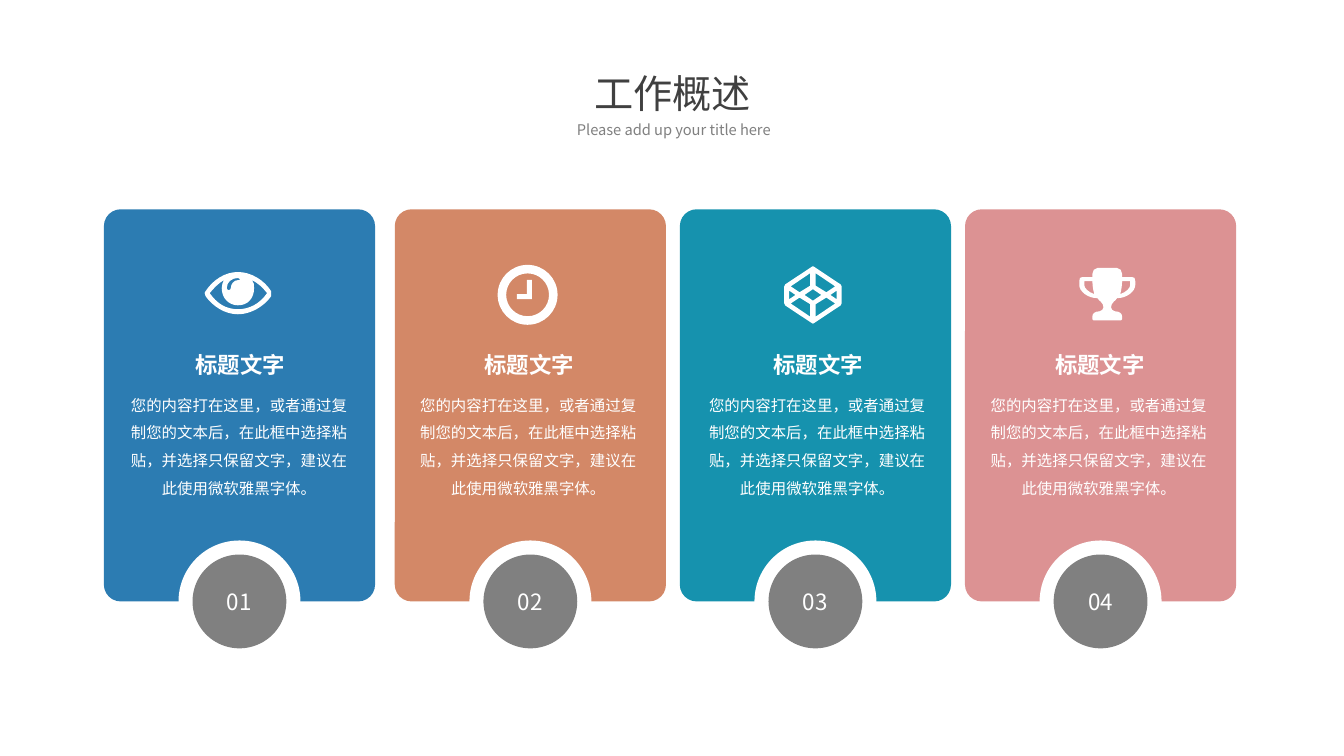
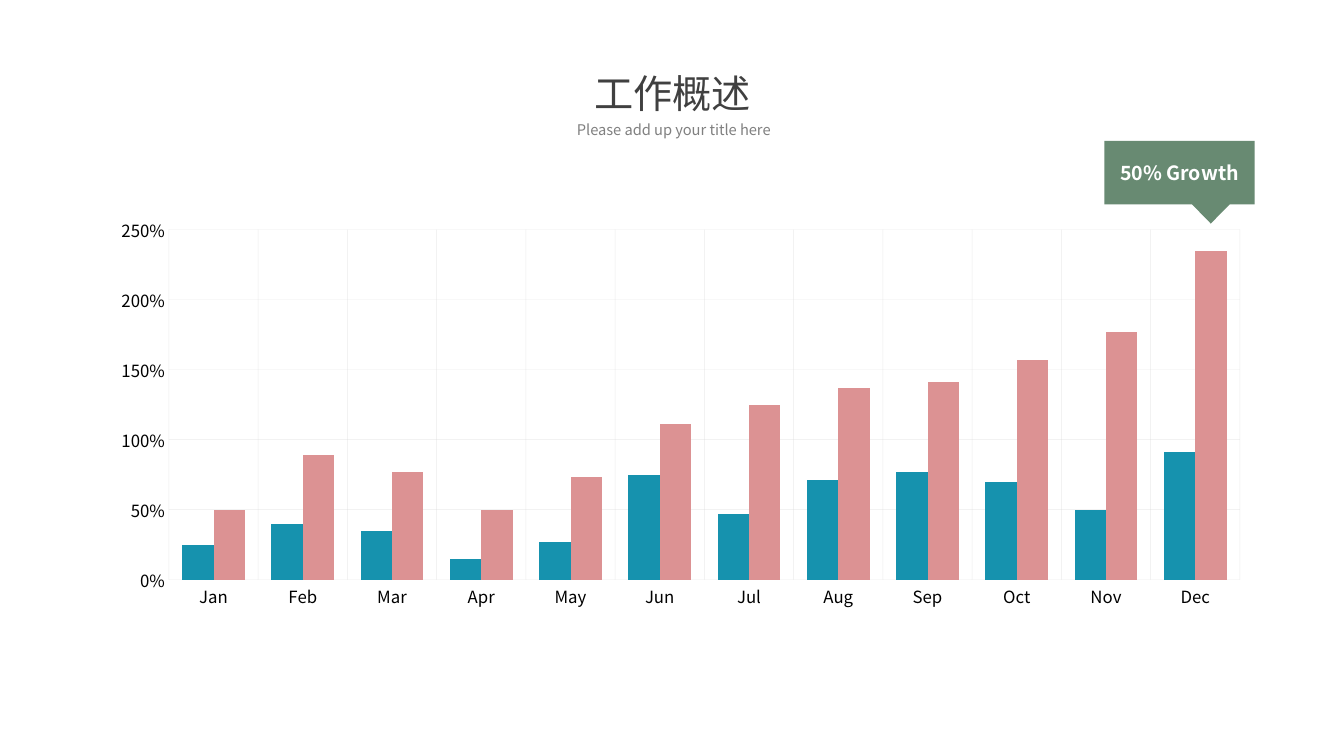
from dataclasses import dataclass

from lxml import etree
from pptx import Presentation
from pptx import util as u
from pptx.chart.data import CategoryChartData
from pptx.dml.color import RGBColor
from pptx.enum import chart as charts, shapes, text
from pptx.oxml import parse_xml
from pptx.oxml.ns import nsdecls, qn

# A contour is a start point, then lines (2 numbers) and cubic curves (6 numbers).
Contour = list[tuple[float, ...]]


@dataclass(frozen=True)
class Theme:
    font: str = "Noto Sans CJK SC"
    blue: str = "2C7CB2"
    orange: str = "D38867"
    teal: str = "1692AE"
    pink: str = "DC9293"
    green: str = "688A72"
    white: str = "FFFFFF"
    black: str = "000000"
    dark: str = "404040"
    gray: str = "808080"
    grid: str = "D9D9D9"
    title_size: float = 28
    subtitle_size: float = 10.5
    heading_size: float = 16
    body_size: float = 11
    callout_size: float = 14
    chart_size: float = 12


THEME = Theme()


@dataclass(frozen=True)
class Box:
    left: float
    top: float
    width: float
    height: float

    def lengths(self) -> tuple[u.Length, ...]:
        return tuple(u.Pt(v) for v in (self.left, self.top, self.width, self.height))


@dataclass(frozen=True)
class Style:
    size: float
    color: str = THEME.white
    bold: bool = False
    line_spacing: float = 1.0
    inset_x: float = 0
    inset_y: float = 0


TITLE = Style(THEME.title_size, THEME.dark, inset_x=7.2, inset_y=3.6)
SUBTITLE = Style(THEME.subtitle_size, THEME.gray, line_spacing=1.2, inset_x=7.2, inset_y=3.6)
HEADING = Style(THEME.heading_size, bold=True)
BODY = Style(THEME.body_size, line_spacing=1.5)
NUMBER = Style(THEME.heading_size)
CALLOUT = Style(THEME.callout_size, bold=True)


@dataclass(frozen=True)
class Icon:
    left: float
    top: float
    contours: list[Contour]


@dataclass(frozen=True)
class Card:
    left: float
    text_center: float
    color: str
    icon: Icon


CARD_TOP, CARD_WIDTH, CARD_HEIGHT = 149.5, 193.7, 280.1
RING_DIAMETER, BADGE_DIAMETER = 87.1, 67
BODY_TEXT = "您的内容打在这里，或者通过复制您的文本后，在此框中选择粘贴，并选择只保留文字，建议在此使用微软雅黑字体。"


def circle(center: float, radius: float) -> Contour:
    low, high, bend = center - radius, center + radius, radius * 0.5523
    near, far = center - bend, center + bend
    return [(high, center), (high, far, far, high, center, high),
            (near, high, low, far, low, center), (low, near, near, low, center, low),
            (far, low, high, near, high, center)]


def mirror(contour: Contour, size: float, axis: int = 0) -> Contour:
    """Flip along x (axis 0) or y (axis 1) and run the contour backwards."""
    flipped = [tuple(size - value if index % 2 == axis else value
                     for index, value in enumerate(segment)) for segment in contour]
    result = [flipped[-1][-2:]]
    for index in range(len(flipped) - 1, 0, -1):
        controls = flipped[index][:-2]
        result.append(controls[2:] + controls[:2] + flipped[index - 1][-2:])
    return result


def eye_contours() -> list[Contour]:
    outline = [
        (47.5, 17.3), (42.5, 24.5, 33.1, 30.2, 23.8, 30.2), (14.4, 30.2, 5.8, 24.5, 0.7, 17.3),
        (0.7, 16.6, 0, 15.8, 0, 15.1), (0, 14.4, 0.7, 13.7, 0.7, 13.7),
        (5.8, 5.8, 14.4, 0, 23.8, 0), (33.1, 0, 42.5, 5.8, 47.5, 13.7), (47.5, 15.1)]
    white_of_eye = [
        (33.8, 5.8), (35.3, 7.2, 35.3, 9.4, 35.3, 11.5), (35.3, 18.7, 31, 23.8, 23.8, 23.8),
        (17.3, 23.8, 12.2, 18.7, 12.2, 11.5), (12.2, 9.4, 13, 7.2, 13.7, 5.8),
        (10.1, 7.9, 6.5, 11.5, 3.6, 15.1), (8.6, 22.3, 15.1, 26.6, 23.8, 26.6),
        (32.4, 26.6, 39.6, 22.3, 44.6, 15.1), (41.8, 11.5, 38.2, 7.9, 33.8, 5.8)]
    glint = [
        (23.8, 4.3), (19.4, 4.3, 15.8, 7.2, 15.8, 11.5), (15.8, 12.2, 16.6, 13, 17.3, 13),
        (18, 13, 18.7, 12.2, 18.7, 11.5), (18.7, 8.6, 20.9, 5.8, 23.8, 5.8),
        (25.2, 5.8), (25.2, 5, 24.5, 4.3, 23.8, 4.3)]
    return [outline, white_of_eye, glint]


def clock_contours() -> list[Contour]:
    hands = [(20.9, 10.8), (24.5, 10.8), (24.5, 24.5), (13.7, 24.5), (13.7, 20.9), (20.9, 20.9)]
    return [circle(21.4, 21.4), circle(21.4, 15.3), hands]


def cube_contours() -> list[Contour]:
    size = 41
    corner = [(0, 14.4), (0.7, 13), (19.8, 0.3), (20.5, 0)]
    top = corner + mirror(corner, size)[1:]
    outline = top + mirror(top, size, axis=1)
    facet = [(18.5, 13.9), (18.5, 5), (4.6, 14.4), (10.9, 18.6)]
    side = [(8, 20.5), (3.5, 17.4), (3.5, 23.6)]
    diamond = [(20.5, 16.4), (26.5, 20.5), (20.5, 24.6), (14.5, 20.5)]
    facets = [facet, mirror(facet, size)]
    facets += [mirror(each, size, axis=1) for each in facets]
    return [outline, *facets, side, mirror(side, size), diamond]


def trophy_contours() -> list[Contour]:
    width = 40
    half = [
        (20, 0), (13, 0), (10.8, 0, 9.4, 2.2, 9.4, 4.3), (9.4, 6.5), (2.2, 6.5),
        (0.7, 6.5, 0, 7.2, 0, 9.4), (0, 12.2), (0, 16.6, 5.8, 21.6, 13, 21.6),
        (14.4, 23, 14.4, 23.8, 15.1, 23.8), (16.6, 25.2, 17.3, 26.6, 17.3, 28.1),
        (17.3, 29.5, 15.8, 31, 14.4, 31), (11.5, 31, 9.4, 32.4, 9.4, 34.6),
        (9.4, 36.7), (9.4, 37.4, 9.4, 37.4, 10.1, 37.4), (20, 37.4)]
    handle = [(9.4, 9.4), (3.6, 9.4), (3.6, 12.2),
              (3.6, 14.4, 6.5, 17.3, 10.8, 18.7), (10.1, 16.6, 9.4, 13, 9.4, 9.4)]
    return [half + mirror(half, width)[1:], handle, mirror(handle, width)]


CARDS = [
    Card(74.2, 171.5, THEME.blue, Icon(146.2, 194.3, eye_contours())),
    Card(282, 378.1, THEME.orange, Icon(355.5, 189.2, clock_contours())),
    Card(485.6, 584.5, THEME.teal, Icon(560.2, 190.2, cube_contours())),
    Card(689.3, 785.6, THEME.pink, Icon(770.9, 191.4, trophy_contours())),
]


def paint(shape, color: str) -> None:
    shape.shadow.inherit = False
    shape.fill.solid()
    shape.fill.fore_color.rgb = RGBColor.from_string(color)
    shape.line.fill.background()


def write(shape, content: str, style: Style, anchor=text.MSO_ANCHOR.TOP) -> None:
    frame = shape.text_frame
    frame.word_wrap = True
    frame.vertical_anchor = anchor
    frame.margin_left = frame.margin_right = u.Pt(style.inset_x)
    frame.margin_top = frame.margin_bottom = u.Pt(style.inset_y)
    paragraph = frame.paragraphs[0]
    paragraph.text = content
    paragraph.alignment = text.PP_ALIGN.CENTER
    paragraph.line_spacing = style.line_spacing
    font = paragraph.font
    font.size = u.Pt(style.size)
    font.bold = style.bold
    font.color.rgb = RGBColor.from_string(style.color)
    font.name = THEME.font
    defaults = paragraph._p.pPr.find(qn("a:defRPr"))
    etree.SubElement(defaults, qn("a:ea")).set("typeface", THEME.font)


def add_text(slide, box: Box, content: str, style: Style) -> None:
    write(slide.shapes.add_textbox(*box.lengths()), content, style)


def add_filled(slide, kind, box: Box, color: str):
    shape = slide.shapes.add_shape(kind, *box.lengths())
    paint(shape, color)
    return shape


def add_disc(slide, center_x: float, center_y: float, diameter: float, color: str):
    box = Box(center_x - diameter / 2, center_y - diameter / 2, diameter, diameter)
    return add_filled(slide, shapes.MSO_SHAPE.OVAL, box, color)


def bend_lines(shape, segments: Contour) -> None:
    """Turn the freeform's lines into cubic curves where a segment has control points."""
    lines = list(shape._element.iter(qn("a:lnTo")))
    for line, segment in zip(lines, segments):
        if len(segment) == 6:
            line.tag = qn("a:cubicBezTo")
            for index in (0, 2):
                control = etree.Element(qn("a:pt"))
                control.set("x", str(u.Pt(segment[index])))
                control.set("y", str(u.Pt(segment[index + 1])))
                line.insert(index // 2, control)


def add_icon(slide, icon: Icon) -> None:
    builder = None
    for contour in icon.contours:
        start, *ends = [tuple(u.Pt(value) for value in segment[-2:]) for segment in contour]
        if builder is None:
            builder = slide.shapes.build_freeform(*start)
        else:
            builder.move_to(*start)
        builder.add_line_segments(ends, close=True)
    shape = builder.convert_to_shape(u.Pt(icon.left), u.Pt(icon.top))
    bend_lines(shape, [segment for contour in icon.contours for segment in contour[1:]])
    paint(shape, THEME.white)


def add_card(slide, card: Card, number: int) -> None:
    panel = add_filled(slide, shapes.MSO_SHAPE.ROUNDED_RECTANGLE,
                       Box(card.left, CARD_TOP, CARD_WIDTH, CARD_HEIGHT), card.color)
    panel.adjustments[0] = 0.062
    center_x, bottom = card.left + CARD_WIDTH / 2, CARD_TOP + CARD_HEIGHT
    add_disc(slide, center_x, bottom, RING_DIAMETER, THEME.white)
    badge = add_disc(slide, center_x, bottom, BADGE_DIAMETER, THEME.gray)
    write(badge, f"{number:02}", NUMBER, text.MSO_ANCHOR.MIDDLE)
    add_icon(slide, card.icon)
    add_text(slide, Box(card.text_center - 35.3, 250.6, 70.6, 19.4), "标题文字", HEADING)
    add_text(slide, Box(card.text_center - 78.8, 276.1, 156.2, 79.9), BODY_TEXT, BODY)


def add_titled_slide(presentation):
    slide = presentation.slides.add_slide(presentation.slide_layouts[6])
    add_text(slide, Box(402.8, 46.1, 155.5, 41), "工作概述", TITLE)
    add_text(slide, Box(399.2, 79.9, 164.2, 22.3), "Please add up your title here", SUBTITLE)
    return slide


def style_axis(axis) -> None:
    axis.major_tick_mark = axis.minor_tick_mark = charts.XL_TICK_MARK.NONE
    axis.format.line.fill.background()
    axis.has_major_gridlines = True
    line = axis.major_gridlines.format.line
    line.width = u.Pt(0.25)
    line.color.rgb = RGBColor.from_string(THEME.grid)
    color = axis.major_gridlines._xAx.find(qn("c:majorGridlines")).find(".//" + qn("a:srgbClr"))
    etree.SubElement(color, qn("a:alpha")).set("val", "50000")


def place_plot(chart, x: float, y: float, w: float, h: float) -> None:
    """Fix the inner plot area, as fractions of the chart."""
    modes = "".join(f'<c:{name}Mode val="edge"/>' for name in "xy")
    sizes = "".join(f'<c:{name} val="{value}"/>' for name, value in zip("xywh", (x, y, w, h)))
    layout = parse_xml(f'<c:layout {nsdecls("c")}><c:manualLayout><c:layoutTarget val="inner"/>'
                       f'{modes}{sizes}</c:manualLayout></c:layout>')
    plot_area = chart._chartSpace.chart.plotArea
    for existing in plot_area.findall(qn("c:layout")):
        plot_area.remove(existing)
    plot_area.insert(0, layout)


def add_growth_chart(slide) -> None:
    data = CategoryChartData(number_format='0"%"')
    data.categories = "Jan Feb Mar Apr May Jun Jul Aug Sep Oct Nov Dec".split()
    data.add_series("Series 1", (25, 40, 35, 15, 27, 75, 47, 71, 77, 70, 50, 91))
    data.add_series("Series 2", (50, 89, 77, 50, 73, 111, 125, 137, 141, 157, 177, 235))
    chart = slide.shapes.add_chart(charts.XL_CHART_TYPE.COLUMN_CLUSTERED,
                                   *Box(66, 120.6, 828, 347.8).lengths(), data).chart
    chart.has_title = chart.has_legend = False
    chart.font.size = u.Pt(THEME.chart_size)
    chart.font.name = THEME.font
    chart.font.color.rgb = RGBColor.from_string(THEME.black)
    plot = chart.plots[0]
    plot.gap_width, plot.overlap, plot.vary_by_categories = 85, 0, False
    for series, color in zip(plot.series, (THEME.teal, THEME.pink)):
        series.format.fill.solid()
        series.format.fill.fore_color.rgb = RGBColor.from_string(color)
    style_axis(chart.category_axis)
    value_axis = chart.value_axis
    style_axis(value_axis)
    value_axis.minimum_scale, value_axis.maximum_scale, value_axis.major_unit = 0, 250, 50
    value_axis.tick_labels.number_format = '0"%"'
    value_axis.tick_labels.number_format_is_linked = False
    place_plot(chart, 0.066, 0.125, 0.924, 0.719)


def add_growth_callout(slide) -> None:
    callout = add_filled(slide, shapes.MSO_SHAPE.RECTANGULAR_CALLOUT,
                         Box(788.8, 100.6, 107.5, 45.4), THEME.green)
    callout.adjustments[0], callout.adjustments[1] = 0.208, 0.802
    write(callout, "50% Growth", CALLOUT, text.MSO_ANCHOR.MIDDLE)


def main() -> None:
    presentation = Presentation()
    presentation.slide_width, presentation.slide_height = u.Pt(960), u.Pt(540)
    overview = add_titled_slide(presentation)
    for number, card in enumerate(CARDS, start=1):
        add_card(overview, card, number)
    growth = add_titled_slide(presentation)
    add_growth_chart(growth)
    add_growth_callout(growth)
    presentation.save("out.pptx")


if __name__ == "__main__":
    main()
